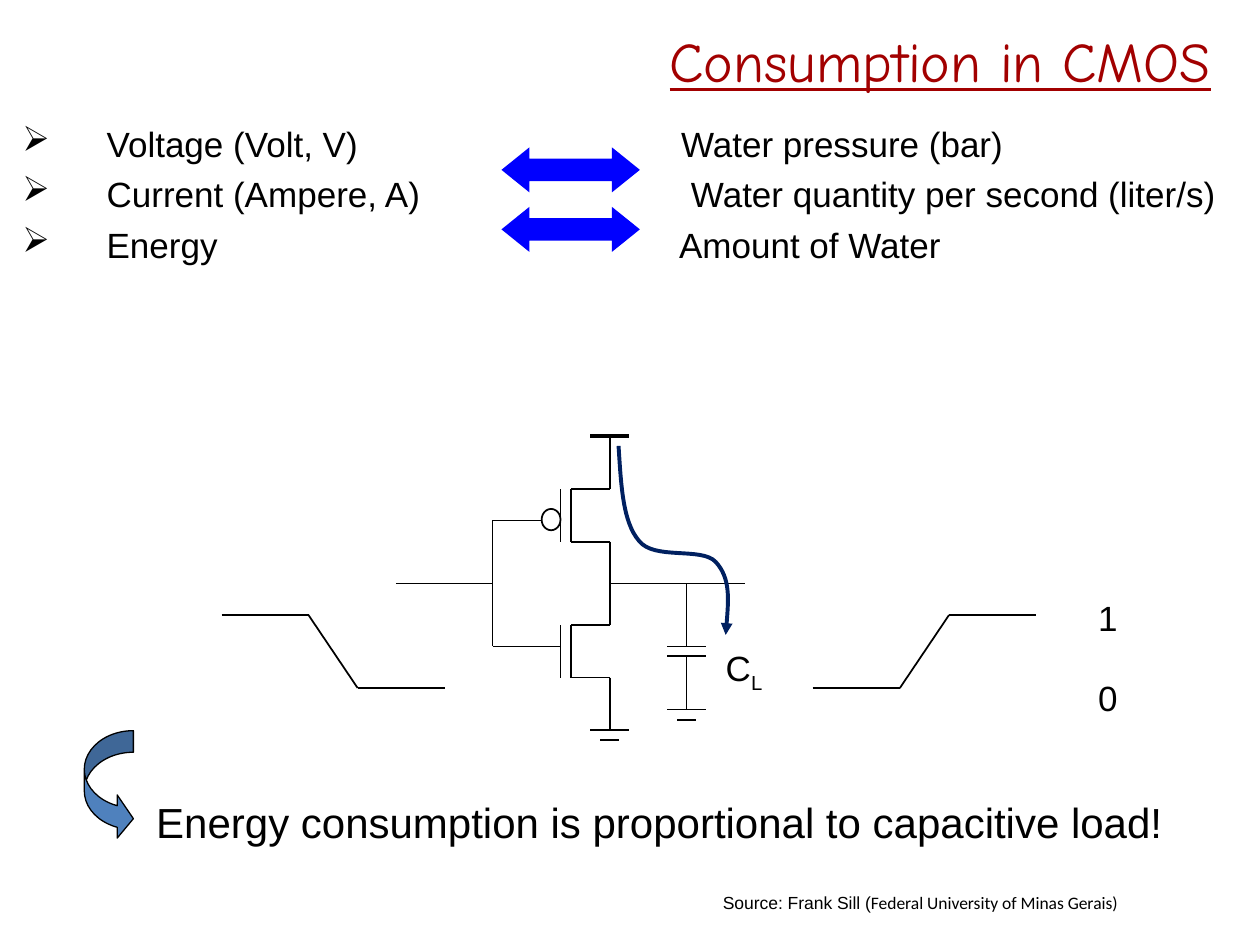
from itertools import pairwise

from lxml import etree
from pptx import Presentation
from pptx.dml.color import RGBColor
from pptx.enum.shapes import MSO_CONNECTOR, MSO_SHAPE
from pptx.enum.text import MSO_ANCHOR, MSO_AUTO_SIZE, PP_ALIGN
from pptx.oxml.ns import qn
from pptx.util import Cm, Pt

BLACK = RGBColor(0x00, 0x00, 0x00)
RED = RGBColor(0xA2, 0x00, 0x00)
BLUE = RGBColor(0x00, 0x00, 0xFF)
NAVY = RGBColor(0x00, 0x20, 0x60)
STEEL = RGBColor(0x4F, 0x81, 0xBD)

# Content (lengths in cm)
TITLE = "Consumption in CMOS"
ANALOGIES = [
    ("Voltage (Volt, V)", "Water pressure (bar)", 13.28),
    ("Current (Ampere, A)", "Water quantity per second (liter/s)", 13.48),
    ("Energy", "Amount of Water", 13.24),
]
NOTES = [
    # text, left, top, width, height, size
    ("Energy consumption is proportional to capacitive load!", 2.9, 15.93, 21.62, 1.27, 24),
    ("0", 21.89, 13.51, 0.99, 1.12, 20),
    ("1", 21.89, 11.91, 0.99, 1.12, 20),
]
SUPPLY_X, LOAD_X, GATE_X = 12.29, 13.84, 9.93
PMOS_TOP, NMOS_TOP, MIDDLE_Y = 9.86, 12.6, 11.76
PMOS_GATE_Y, NMOS_GATE_Y = 10.49, 13.03
CHANNEL_HEIGHT = 1.06
PLATE_X, CHANNEL_X = 11.3, 11.51
HIGH_Y, LOW_Y = 12.4, 13.87
WIRES = [
    [(10.92, PMOS_GATE_Y), (GATE_X, PMOS_GATE_Y), (GATE_X, NMOS_GATE_Y), (PLATE_X, NMOS_GATE_Y)],
    [(7.98, MIDDLE_Y), (GATE_X, MIDDLE_Y)],
    [(SUPPLY_X, 8.79), (SUPPLY_X, PMOS_TOP)],
    [(SUPPLY_X, PMOS_TOP + CHANNEL_HEIGHT), (SUPPLY_X, NMOS_TOP)],
    [(SUPPLY_X, NMOS_TOP + CHANNEL_HEIGHT), (SUPPLY_X, 14.71)],
    [(SUPPLY_X, MIDDLE_Y), (15.01, MIDDLE_Y)],
    [(LOAD_X, MIDDLE_Y), (LOAD_X, 13.03)],
    [(LOAD_X, 13.23), (LOAD_X, 14.3)],
    # Input and output signals
    [(4.47, HIGH_Y), (6.22, HIGH_Y), (7.21, LOW_Y), (8.97, LOW_Y)],
    [(16.38, LOW_Y), (18.14, LOW_Y), (19.13, HIGH_Y), (20.88, HIGH_Y)],
]
CURRENT_START = (12.47, 8.99)
CURRENT_CURVES = [
    [(12.52, 9.75), (12.55, 10.52), (12.88, 10.9)],
    [(13.18, 11.3), (14.15, 11.02), (14.43, 11.33)],
    [(14.73, 11.66), (14.68, 12.22), (14.63, 12.8)],
]


def cm(*lengths):
    return [Cm(length) for length in lengths]


def style(font, size, color=BLACK, name="Arial"):
    font.size, font.name, font.color.rgb = Pt(size), name, color


def add_text(shapes, left, top, width, height):
    box = shapes.add_textbox(*cm(left, top, width, height))
    box.text_frame.word_wrap = True
    return box.text_frame


def add_wire(shapes, points, weight=1):
    for start, end in pairwise(points):
        wire = shapes.add_connector(MSO_CONNECTOR.STRAIGHT, *cm(*start, *end))
        wire.line.color.rgb = BLACK
        wire.line.width = Pt(weight)
        etree.SubElement(wire._element.spPr, qn("a:effectLst"))


def add_bar(shapes, center, y, half_width=0.39, weight=1):
    add_wire(shapes, [(center - half_width, y), (center + half_width, y)], weight)


def add_ground(shapes, center, y):
    add_bar(shapes, center, y)
    add_bar(shapes, center, y + 0.21, 0.19)


def add_transistor(shapes, top):
    bottom = top + CHANNEL_HEIGHT
    add_wire(shapes, [(PLATE_X, top), (PLATE_X, bottom)])
    add_wire(shapes, [(SUPPLY_X, top), (CHANNEL_X, top), (CHANNEL_X, bottom), (SUPPLY_X, bottom)])


def add_filled(shapes, kind, bounds, fill, adjustments):
    shape = shapes.add_shape(kind, *cm(*bounds))
    shape.shadow.inherit = False
    shape.fill.solid()
    shape.fill.fore_color.rgb = fill
    shape.line.fill.background()
    for index, value in enumerate(adjustments):
        shape.adjustments[index] = value
    return shape


presentation = Presentation()
presentation.slide_width, presentation.slide_height = cm(25.4, 19.05)
slide = presentation.slides.add_slide(presentation.slide_layouts[5])
shapes = slide.shapes

# Title
title = shapes.title
title.left, title.top, title.width, title.height = cm(0.84, 0.33, 23.83, 1.78)
title.text_frame.text = TITLE
title.text_frame.vertical_anchor = MSO_ANCHOR.MIDDLE
paragraph = title.text_frame.paragraphs[0]
paragraph.alignment = PP_ALIGN.RIGHT
style(paragraph.font, 32, RED, "Comic Neue")
paragraph.font.underline = True

# Inverter circuit
circuit = shapes.add_group_shape().shapes
for top in (PMOS_TOP, NMOS_TOP):
    add_transistor(circuit, top)
for points in WIRES:
    add_wire(circuit, points)
add_bar(circuit, SUPPLY_X, 8.79, weight=2.25)
for y in (13.03, 13.23):
    add_bar(circuit, LOAD_X, y)
add_ground(circuit, SUPPLY_X, 14.71)
add_ground(circuit, LOAD_X, 14.3)
inverter = circuit.add_shape(MSO_SHAPE.OVAL, *cm(10.92, 10.26, 0.38, 0.43))
inverter.shadow.inherit = False
inverter.fill.background()
inverter.line.color.rgb = BLACK
inverter.line.width = Pt(1)

# Load capacitor label
frame = add_text(circuit, 14.63, 13.03, 0.76, 0.84)
frame.word_wrap = False
frame.margin_left = frame.margin_right = frame.margin_top = frame.margin_bottom = 0
paragraph = frame.paragraphs[0]
for text in ("C", "L"):
    run = paragraph.add_run()
    run.text = text
style(paragraph.font, 20)
run.font._element.set("baseline", "-25000")

# Charging current: a freeform whose segments become Bézier curves
builder = shapes.build_freeform(*cm(*CURRENT_START))
builder.add_line_segments([cm(*curve[-1]) for curve in CURRENT_CURVES], close=False)
current = builder.convert_to_shape()
current.shadow.inherit = False
current.fill.background()
current.line.color.rgb = NAVY
current.line.width = Pt(2.25)
for segment, curve in zip(list(current._element.iter(qn("a:lnTo"))), CURRENT_CURVES):
    segment.tag = qn("a:cubicBezTo")
    segment.clear()
    for x, y in curve:
        etree.SubElement(segment, qn("a:pt"), x=str(Cm(x) - current.left), y=str(Cm(y) - current.top))
etree.SubElement(current.line._get_or_add_ln(), qn("a:tailEnd"), type="triangle")

# Electricity and water analogies
frame = add_text(shapes, 0.2, 2.34, 24.97, 3)
for index, (electric, water, tab) in enumerate(ANALOGIES):
    paragraph = frame.add_paragraph() if index else frame.paragraphs[0]
    paragraph.text = f"{electric}\t{water}"
    properties = paragraph._p.get_or_add_pPr()
    properties.set("marL", str(Cm(1.7)))
    properties.set("indent", str(Cm(-1.7)))
    etree.SubElement(properties, qn("a:buChar"), char="➢")
    tabs = etree.SubElement(properties, qn("a:tabLst"))
    etree.SubElement(tabs, qn("a:tab"), pos=str(Cm(tab)), algn="l")
    style(paragraph.font, 20)
    if index:
        paragraph.space_before = Pt(4.8)
for top in (2.97, 4.17):
    add_filled(shapes, MSO_SHAPE.LEFT_RIGHT_ARROW, (10.11, top, 2.79, 0.91), BLUE, (0.5, 0.62))

# Conclusion and signal levels
for text, left, top, width, height, size in NOTES:
    frame = add_text(shapes, left, top, width, height)
    frame.auto_size = MSO_AUTO_SIZE.SHAPE_TO_FIT_TEXT
    frame.text = text
    style(frame.paragraphs[0].font, size)
arrow = add_filled(shapes, MSO_SHAPE.CURVED_RIGHT_ARROW, (1.7, 14.73, 0.99, 2.21), STEEL, (0.44, 0.88, 0.33))
arrow.line.color.rgb = BLACK
arrow.line.width = Pt(0.75)

# Source
paragraph = add_text(shapes, 10.08, 17.86, 12.7, 0.69).paragraphs[0]
paragraph.alignment = PP_ALIGN.RIGHT
for text, name in (("Source: Frank Sill (", "Arial"), ("Federal University of Minas Gerais)", "Calibri")):
    run = paragraph.add_run()
    run.text = text
    style(run.font, 10, name=name)

presentation.save("out.pptx")
